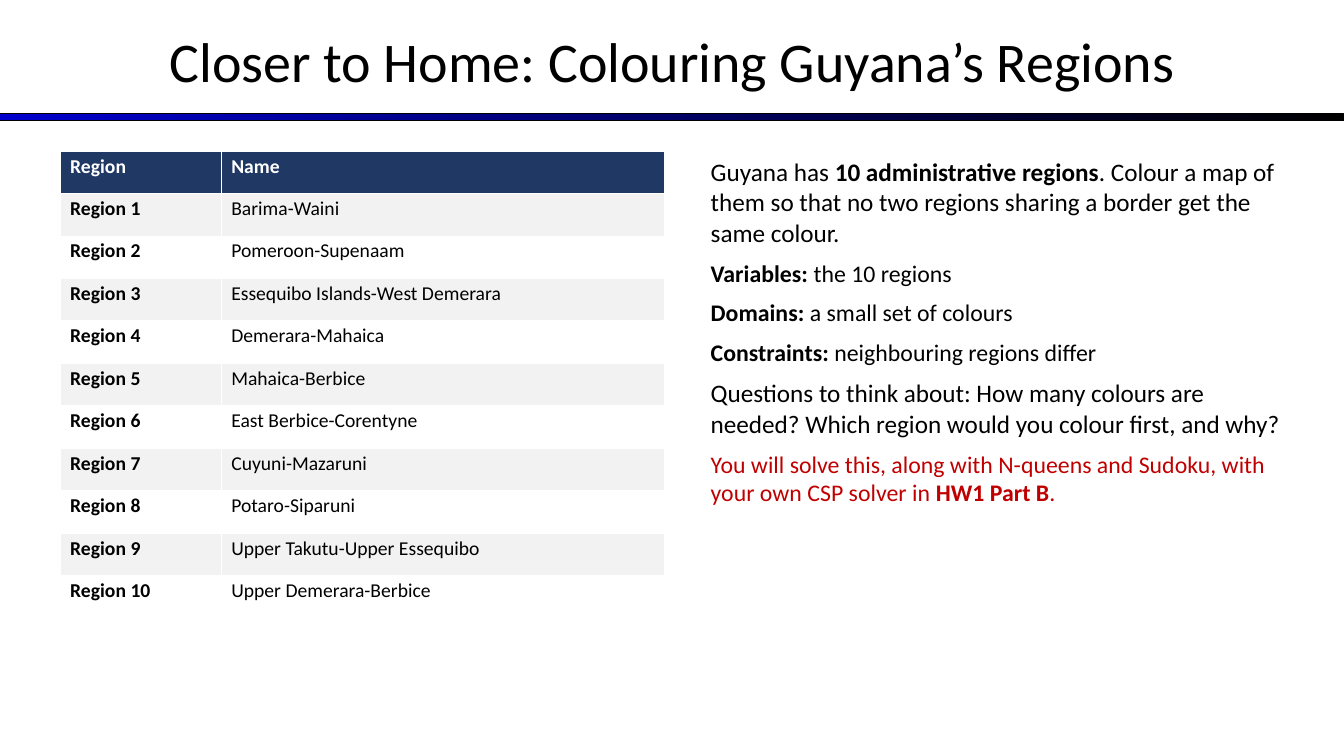
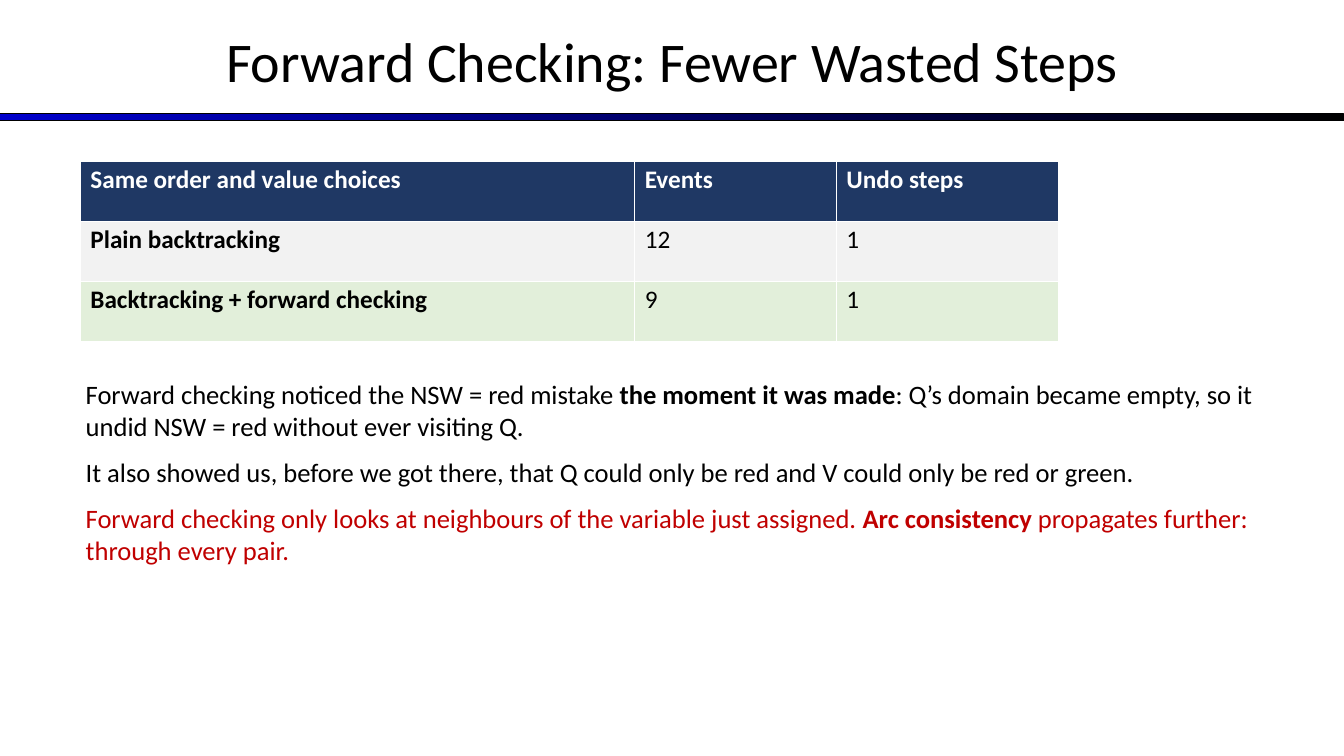
from dataclasses import dataclass

from lxml import etree
from pptx import Presentation
from pptx import util as u
from pptx.dml.color import RGBColor
from pptx.enum import shapes, text
from pptx.oxml import ns


@dataclass(frozen=True)
class Theme:
    font: str = "Calibri"
    ink: str = "000000"
    paper: str = "FFFFFF"
    accent: str = "C00000"
    header: str = "1F3864"
    stripe: str = "F2F2F2"
    highlight: str = "E2EFDA"
    band_start: str = "0000CC"
    title_size: int = 40
    small_size: int = 14
    note_size: int = 17
    text_size: int = 18
    large_size: int = 19


THEME = Theme()
SLIDE_WIDTH, SLIDE_HEIGHT = u.Cm(33.87), u.Cm(19.05)

REGIONS = [
    "Barima-Waini", "Pomeroon-Supenaam", "Essequibo Islands-West Demerara",
    "Demerara-Mahaica", "Mahaica-Berbice", "East Berbice-Corentyne",
    "Cuyuni-Mazaruni", "Potaro-Siparuni", "Upper Takutu-Upper Essequibo",
    "Upper Demerara-Berbice",
]


def color(code):
    return RGBColor.from_string(code)


def place(shape, left, top, width, height):
    """Position a shape, all lengths in centimetres."""
    shape.left, shape.top = u.Cm(left), u.Cm(top)
    shape.width, shape.height = u.Cm(width), u.Cm(height)


def set_margins(holder, side, vertical):
    holder.margin_left = holder.margin_right = u.Cm(side)
    holder.margin_top = holder.margin_bottom = u.Cm(vertical)


def add_run(paragraph, words, size, ink=THEME.ink, bold=False):
    run = paragraph.add_run()
    run.text = words
    run.font.name = THEME.font
    run.font.size = u.Pt(size)
    run.font.bold = bold
    run.font.color.rgb = color(ink)


def format_layout_title(layout):
    title = layout.placeholders[0]
    place(title, 0, -0.08, 33.87, 3.18)
    title.text_frame.vertical_anchor = text.MSO_ANCHOR.MIDDLE
    set_margins(title.text_frame, 0.25, 0.13)


def add_layout_band(slide):
    """Draw the band under the title and hand it to the slide's layout."""
    layout_shapes = slide.slide_layout.shapes
    band = slide.shapes.add_shape(
        shapes.MSO_SHAPE.RECTANGLE, 0, u.Cm(2.87), SLIDE_WIDTH, u.Cm(0.18))
    band.shadow.inherit = False
    band.fill.gradient()
    band.fill.gradient_angle = 0
    for stop, code in zip(band.fill.gradient_stops, (THEME.band_start, THEME.ink)):
        stop.color.rgb = color(code)
    band.line.color.rgb = color(THEME.ink)
    band.line.width = u.Pt(0.75)
    next_id = max(shape.shape_id for shape in layout_shapes) + 1
    band.element.nvSpPr.cNvPr.set("id", str(next_id))
    layout_shapes.element.insert(2, band.element)


def add_titled_slide(presentation, layout, title):
    slide = presentation.slides.add_slide(layout)
    paragraph = slide.shapes.title.text_frame.paragraphs[0]
    paragraph.alignment = text.PP_ALIGN.CENTER
    add_run(paragraph, title, THEME.title_size)
    return slide


def remove_bullet(paragraph):
    properties = paragraph._p.get_or_add_pPr()
    properties.set("marL", "0")
    properties.set("indent", "0")
    etree.SubElement(properties, ns.qn("a:buNone"))


def fill_body(slide, box, items, space_after):
    """Fill the body with (words, size, ink) items; ** encloses bold words."""
    body = slide.placeholders[1]
    place(body, *box)
    frame = body.text_frame
    frame.word_wrap = True
    frame.auto_size = text.MSO_AUTO_SIZE.SHAPE_TO_FIT_TEXT
    frame.vertical_anchor = text.MSO_ANCHOR.TOP
    set_margins(frame, 0.13, 0.13)
    for index, (words, size, ink) in enumerate(items):
        paragraph = frame.add_paragraph() if index else frame.paragraphs[0]
        remove_bullet(paragraph)
        paragraph.space_before = u.Pt(0)
        paragraph.space_after = u.Pt(space_after)
        for position, part in enumerate(words.split("**")):
            if part:
                add_run(paragraph, part, size, ink, bold=position % 2 == 1)


def add_table(slide, corner, widths, row_height, rows, fills, size):
    """Add a table with a bold header row and a bold first column."""
    left, top = corner
    table = slide.shapes.add_table(
        len(rows), len(widths), u.Cm(left), u.Cm(top),
        u.Cm(sum(widths)), u.Cm(row_height * len(rows))).table
    for column, width in zip(table.columns, widths):
        column.width = u.Cm(width)
    for row_index, (values, fill) in enumerate(zip(rows, fills)):
        table.rows[row_index].height = u.Cm(row_height)
        is_header = row_index == 0
        for column_index, value in enumerate(values):
            cell = table.cell(row_index, column_index)
            cell.fill.solid()
            cell.fill.fore_color.rgb = color(fill)
            set_margins(cell, 0.25, 0.08)
            add_run(cell.text_frame.paragraphs[0], value, size,
                    THEME.paper if is_header else THEME.ink,
                    bold=is_header or column_index == 0)


def build_regions_slide(presentation, layout):
    slide = add_titled_slide(
        presentation, layout, "Closer to Home: Colouring Guyana’s Regions")
    rows = [("Region", "Name")]
    rows += [(f"Region {number}", name) for number, name in enumerate(REGIONS, 1)]
    fills = [THEME.header] + [THEME.stripe, THEME.paper] * (len(REGIONS) // 2)
    add_table(slide, (1.52, 3.81), (4.06, 11.18), 1.07, rows, fills, THEME.small_size)
    fill_body(slide, (17.78, 3.81, 14.99, 12.7), [
        ("Guyana has **10 administrative regions**. Colour a map of them so that "
         "no two regions sharing a border get the same colour.",
         THEME.text_size, THEME.ink),
        ("**Variables:** the 10 regions", THEME.note_size, THEME.ink),
        ("**Domains:** a small set of colours", THEME.note_size, THEME.ink),
        ("**Constraints:** neighbouring regions differ", THEME.note_size, THEME.ink),
        ("Questions to think about: How many colours are needed? "
         "Which region would you colour first, and why?",
         THEME.text_size, THEME.ink),
        ("You will solve this, along with N-queens and Sudoku, with your own "
         "CSP solver in **HW1 Part B**.", THEME.note_size, THEME.accent),
    ], space_after=8)
    return slide


def build_forward_checking_slide(presentation, layout):
    slide = add_titled_slide(
        presentation, layout, "Forward Checking: Fewer Wasted Steps")
    rows = [
        ("Same order and value choices", "Events", "Undo steps"),
        ("Plain backtracking", "12", "1"),
        ("Backtracking + forward checking", "9", "1"),
    ]
    fills = [THEME.header, THEME.stripe, THEME.highlight]
    add_table(slide, (2.03, 4.06), (13.97, 5.08, 5.59), 1.52, rows, fills,
              THEME.text_size)
    fill_body(slide, (2.03, 9.4, 29.72, 7.11), [
        ("Forward checking noticed the NSW = red mistake **the moment it was made**: "
         "Q’s domain became empty, so it undid NSW = red without ever visiting Q.",
         THEME.large_size, THEME.ink),
        ("It also showed us, before we got there, that Q could only be red and "
         "V could only be red or green.", THEME.large_size, THEME.ink),
        ("Forward checking only looks at neighbours of the variable just assigned. "
         "**Arc consistency** propagates further: through every pair.",
         THEME.large_size, THEME.accent),
    ], space_after=10)


def main():
    presentation = Presentation()
    presentation.slide_width, presentation.slide_height = SLIDE_WIDTH, SLIDE_HEIGHT
    layout = presentation.slide_layouts.get_by_name("Title and Content")
    format_layout_title(layout)
    add_layout_band(build_regions_slide(presentation, layout))
    build_forward_checking_slide(presentation, layout)
    presentation.save("out.pptx")


if __name__ == "__main__":
    main()
